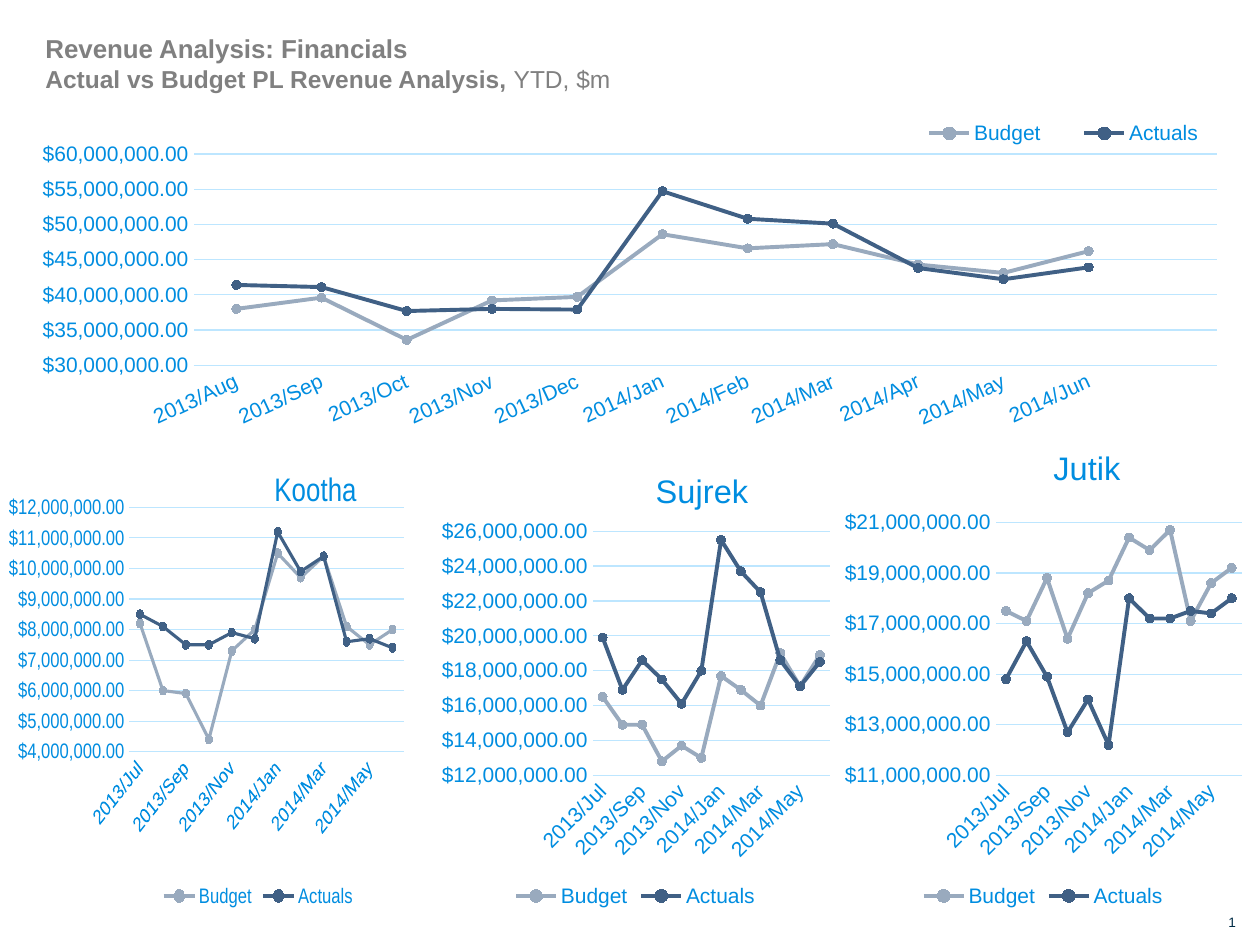
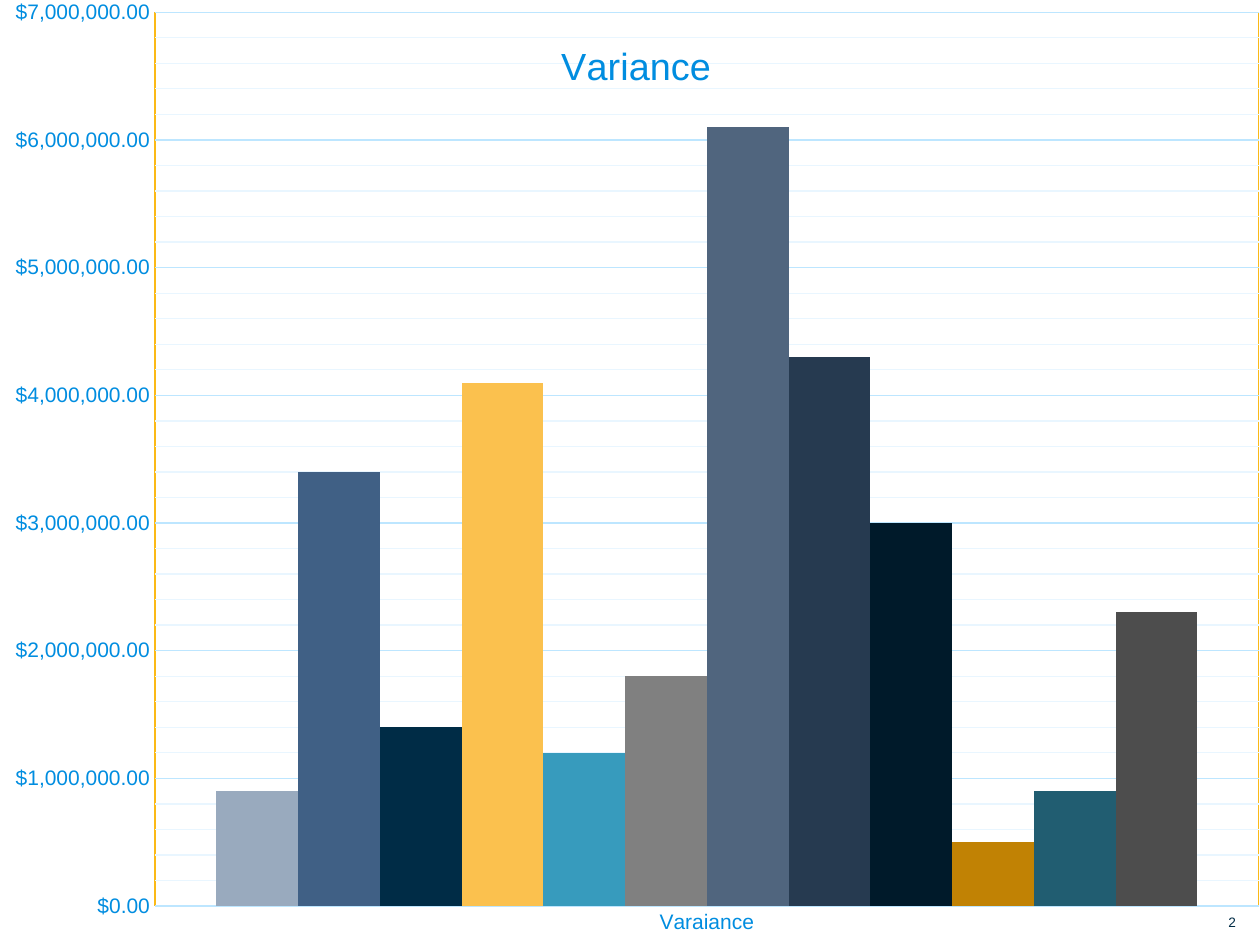
from lxml.etree import SubElement
from pptx import Presentation
from pptx.chart.data import CategoryChartData
from pptx.dml.color import RGBColor
from pptx.enum.chart import (XL_CHART_TYPE as ChartType, XL_LEGEND_POSITION as LegendPos,
                             XL_MARKER_STYLE as Marker, XL_TICK_MARK as Tick)
from pptx.enum.text import MSO_ANCHOR as Anchor, MSO_AUTO_SIZE as AutoSize, PP_ALIGN as Align
from pptx.oxml import parse_xml
from pptx.oxml.ns import nsdecls, qn
from pptx.util import Inches, Pt

# Shared style
WIDTH, HEIGHT = 10, 7.5
FONT = "Arial"
MONEY = '"$"#,##0.00'
COLORS = {"heading": "808080", "ink": "002C46", "label": "008DE0", "grid": "BDE6FF",
          "minor": "E9F6FF", "divider": "FBB917", "Budget": "99AABE", "Actuals": "406085"}
BAR_COLORS = ["99AABE", "406085", "002C46", "FBC14E", "379BBD", "808080",
              "50657E", "263A50", "001A2A", "C18204", "215D71", "4D4D4D"]

# Content, in millions of dollars
MONTHS = ["2013/Jul", "2013/Aug", "2013/Sep", "2013/Oct", "2013/Nov", "2013/Dec",
          "2014/Jan", "2014/Feb", "2014/Mar", "2014/Apr", "2014/May", "2014/Jun"]
VARIANCE = [0.9, 3.4, 1.4, 4.1, 1.2, 1.8, 6.1, 4.3, 3.0, 0.5, 0.9, 2.3]
TOTAL = {
    "box": (0.15, 0.76, 9.7, 2.72), "plot": (0.143, 0.17, 0.837, 0.617),
    "scale": (30, 60, 5), "legend": (0.715, 0.06, 0.28, 0.1), "tilt": -25,
    "months": MONTHS[1:] + [""],
    "Budget": [38, 39.6, 33.6, 39.2, 39.7, 48.6, 46.6, 47.2, 44.3, 43.1, 46.2, None],
    "Actuals": [41.4, 41.1, 37.7, 38, 37.9, 54.7, 50.8, 50.1, 43.8, 42.2, 43.9, None]}
UNITS = [
    {"title": "Jutik", "title_at": (0.51, 0.055), "box": (6.64, 3.28, 3.28, 3.96),
     "plot": (0.385, 0.168, 0.596, 0.558), "scale": (11, 22, 2),
     "Budget": [17.5, 17.1, 18.8, 16.4, 18.2, 18.7, 20.4, 19.9, 20.7, 17.1, 18.6, 19.2],
     "Actuals": [14.8, 16.3, 14.9, 12.7, 14, 12.2, 18, 17.2, 17.2, 17.5, 17.4, 18]},
    {"title": "Sujrek", "title_at": (0.535, 0.055), "box": (3.44, 3.47, 3.21, 3.77),
     "plot": (0.394, 0.198, 0.586, 0.514), "scale": (12, 26, 2),
     "Budget": [16.5, 14.9, 14.9, 12.8, 13.7, 13, 17.7, 16.9, 16, 19, 17.1, 18.9],
     "Actuals": [19.9, 16.9, 18.6, 17.5, 16.1, 18, 25.5, 23.7, 22.5, 18.6, 17.1, 18.5]},
    {"title": "Kootha", "title_at": (0.535, 0.05), "box": (0.07, 3.47, 3.28, 3.77),
     "plot": (0.104, 0.148, 0.841, 0.514), "scale": (4, 12, 1),
     "Budget": [8.2, 6, 5.9, 4.4, 7.3, 8, 10.5, 9.7, 10.4, 8.1, 7.5, 8],
     "Actuals": [8.5, 8.1, 7.5, 7.5, 7.9, 7.7, 11.2, 9.9, 10.4, 7.6, 7.7, 7.4]}]


def rgb(color):
    return RGBColor.from_string(COLORS.get(color, color))


def assign(target, values):
    for name, value in values.items():
        setattr(target, name, value)


def style_font(font, size, color, bold=False):
    assign(font, {"name": FONT, "size": Pt(size), "bold": bold})
    font.color.rgb = rgb(color)


def style_line(line, color, width=0.75):
    line.color.rgb = rgb(color)
    line.width = Pt(width)


def dollars(millions):
    return None if millions is None else round(millions * 1_000_000)


# Text
def place(shape, left, top, width, height):
    assign(shape, {"left": Inches(left), "top": Inches(top),
                   "width": Inches(width), "height": Inches(height)})


def frame_text(shape, anchor=Anchor.TOP, align=Align.LEFT, indent=0, wrap=True):
    frame = shape.text_frame
    assign(frame, {"margin_left": Inches(indent), "margin_right": 0, "margin_top": 0,
                   "margin_bottom": 0, "vertical_anchor": anchor, "word_wrap": wrap,
                   "auto_size": AutoSize.NONE})
    paragraph = frame.paragraphs[0]
    assign(paragraph, {"alignment": align, "space_before": Pt(0)})
    return paragraph


def add_run(paragraph, text, size, bold):
    run = paragraph.add_run()
    run.text = text
    style_font(run.font, size, "heading", bold)


def add_headings(slide):
    title, subtitle = slide.shapes.title, slide.placeholders[1]
    place(title, 0.19, 0.26, 9.62, 0.25)
    add_run(frame_text(title, indent=0.17), "Revenue Analysis: Financials", 14.8, True)
    place(subtitle, 0.11, 0.51, 9.82, 0.25)
    line = frame_text(subtitle, indent=0.25)
    properties = line._p.get_or_add_pPr()
    properties.set("marL", "0")
    properties.set("indent", "0")
    SubElement(properties, qn("a:buNone"))
    add_run(line, "Actual vs Budget PL Revenue Analysis, ", 14, True)
    add_run(line, "YTD, $m", 14, False)


def add_page_number(slide, number):
    box = slide.shapes.add_textbox(*map(Inches, (9.67, 7.25, 0.14, 0.13)))
    paragraph = frame_text(box, Anchor.MIDDLE, Align.RIGHT, wrap=False)
    paragraph._p.append(parse_xml(
        f'<a:fld {nsdecls("a")} id="{{B6F15528-21DE-4FAA-801E-634DDDAF4B2B}}" type="slidenum">'
        f'<a:rPr lang="en-US" sz="780"><a:solidFill><a:srgbClr val="{COLORS["ink"]}"/>'
        f'</a:solidFill><a:latin typeface="{FONT}"/></a:rPr><a:t>{number}</a:t></a:fld>'))


# Charts
def set_layout(chart, part, place_at, inner=False):
    """Fix a chart part at shares (x, y[, w, h]) of the chart's size."""
    element = chart.element.xpath(f".//c:{part}")[0]
    for old in element.findall(qn("c:layout")):
        element.remove(old)
    target = '<c:layoutTarget val="inner"/>' if inner else ""
    modes = "".join(f'<c:{axis}Mode val="edge"/>' for axis in "xy")
    shares = "".join(f'<c:{side} val="{share}"/>' for side, share in zip("xywh", place_at))
    element.insert(0 if part == "plotArea" else 1, parse_xml(
        f'<c:layout {nsdecls("c")}><c:manualLayout>{target}{modes}{shares}'
        "</c:manualLayout></c:layout>"))


def add_chart(slide, kind, box, categories, series, plot, scale):
    data = CategoryChartData(number_format=MONEY)
    data.categories = categories
    for name, values in series.items():
        data.add_series(name, [dollars(value) for value in values])
    chart = slide.shapes.add_chart(kind, *map(Inches, box), data).chart
    style_font(chart.font, 10, "ink")
    assign(chart, {"has_legend": False, "has_title": False})
    chart.plots[0].vary_by_categories = False
    for axis in (chart.category_axis, chart.value_axis):
        assign(axis, {"major_tick_mark": Tick.NONE, "minor_tick_mark": Tick.NONE})
        style_font(axis.tick_labels.font, 12, "label")
    style_line(chart.category_axis.format.line, "grid")
    amounts = chart.value_axis
    low, high, step = map(dollars, scale)
    assign(amounts, {"minimum_scale": low, "maximum_scale": high, "major_unit": step,
                     "has_major_gridlines": True})
    assign(amounts.tick_labels, {"number_format": MONEY, "number_format_is_linked": False})
    amounts.format.line.fill.background()
    style_line(amounts.major_gridlines.format.line, "grid")
    set_layout(chart, "plotArea", plot, inner=True)
    return chart


def add_title(chart, text, size, title_at):
    chart.has_title = True
    frame = chart.chart_title.text_frame
    frame.text = text
    style_font(frame.paragraphs[0].runs[0].font, size, "label")
    set_layout(chart, "title", title_at)


def add_revenue_chart(slide, unit):
    series = {name: unit[name] for name in ("Budget", "Actuals")}
    chart = add_chart(slide, ChartType.LINE_MARKERS, unit["box"], unit.get("months", MONTHS),
                      series, unit["plot"], unit["scale"])
    for line in chart.plots[0].series:
        line.smooth = False
        style_line(line.format.line, line.name, 2.25)
        assign(line.marker, {"style": Marker.CIRCLE, "size": 5})
        line.marker.format.fill.solid()
        line.marker.format.fill.fore_color.rgb = rgb(line.name)
        style_line(line.marker.format.line, line.name)
    chart.has_legend = True
    assign(chart.legend, {"include_in_layout": False,
                          "position": LegendPos.TOP if "legend" in unit else LegendPos.BOTTOM})
    style_font(chart.legend.font, 12, "label")
    if "legend" in unit:
        set_layout(chart, "legend", unit["legend"])
    months = chart.category_axis._element
    months.xpath("c:txPr/a:bodyPr")[0].set("rot", str(unit.get("tilt", -45) * 60000))
    if "title" in unit:
        add_title(chart, unit["title"], 18.6, unit["title_at"])
        every_second = parse_xml(f'<c:tickLblSkip {nsdecls("c")} val="2"/>')
        months.find(qn("c:noMultiLvlLbl")).addprevious(every_second)


def add_variance_chart(slide):
    series = {f"Series {i}": [value] for i, value in enumerate(VARIANCE, 1)}
    chart = add_chart(slide, ChartType.COLUMN_CLUSTERED, (0, 0, WIDTH, HEIGHT), ["Varaiance"],
                      series, (0.123, 0.013, 0.876, 0.946), (0, 7, 1))
    assign(chart.plots[0], {"gap_width": 150, "overlap": 0})
    for bar, color in zip(chart.plots[0].series, BAR_COLORS):
        bar.format.fill.solid()
        bar.format.fill.fore_color.rgb = rgb(color)
    chart.category_axis.has_major_gridlines = True
    style_line(chart.category_axis.major_gridlines.format.line, "divider")
    assign(chart.value_axis, {"has_minor_gridlines": True, "minor_unit": dollars(0.2)})
    chart.element.xpath(".//c:valAx/c:minorGridlines")[0].append(parse_xml(
        f'<c:spPr {nsdecls("c", "a")}><a:ln w="{Pt(0.75)}"><a:solidFill>'
        f'<a:srgbClr val="{COLORS["minor"]}"/></a:solidFill></a:ln></c:spPr>'))
    add_title(chart, "Variance", 21.6, (0.44, 0.037))


def main():
    deck = Presentation()
    assign(deck, {"slide_width": Inches(WIDTH), "slide_height": Inches(HEIGHT)})

    # Revenue against budget
    revenue = deck.slides.add_slide(deck.slide_layouts[1])
    add_headings(revenue)
    for unit in [TOTAL, *UNITS]:
        add_revenue_chart(revenue, unit)

    # Variance
    variance = deck.slides.add_slide(deck.slide_layouts[6])
    add_variance_chart(variance)

    for number, slide in enumerate(deck.slides, 1):
        add_page_number(slide, number)
    deck.save("out.pptx")


if __name__ == "__main__":
    main()
